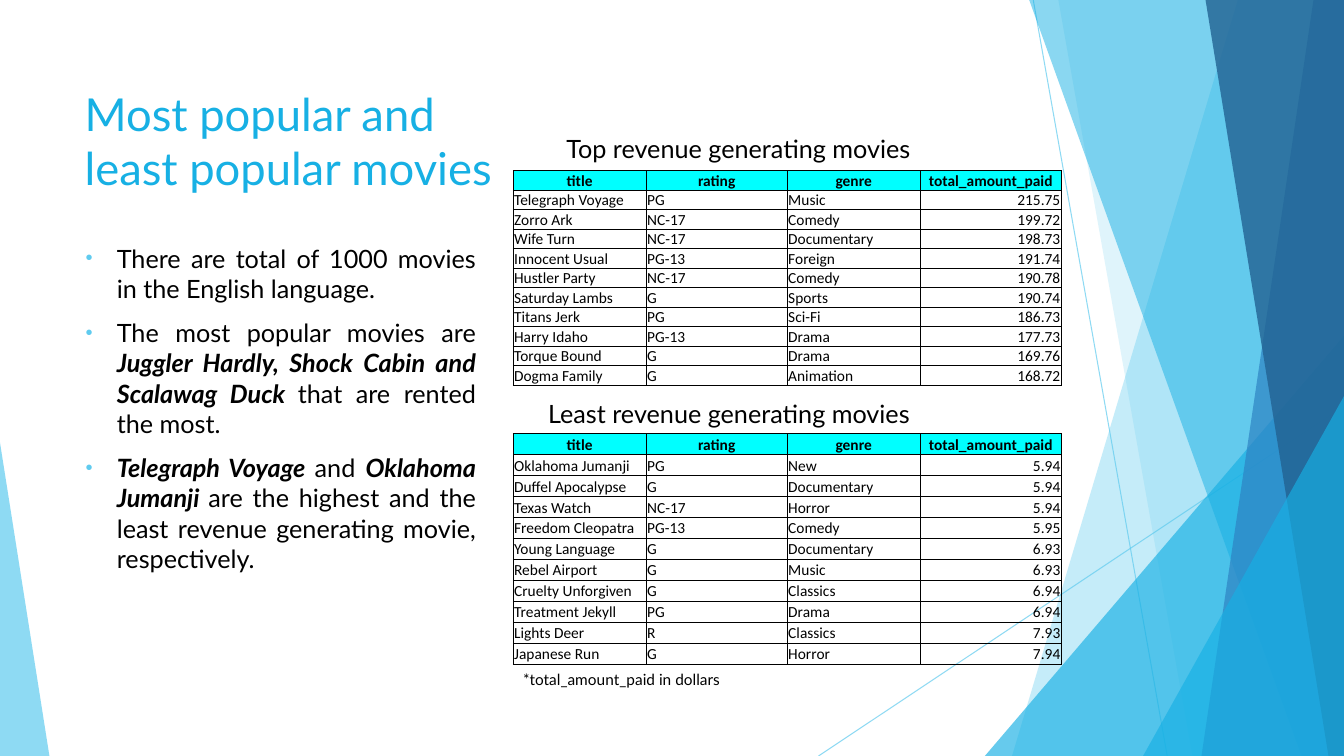
from lxml.etree import SubElement
from pptx import Presentation
from pptx.dml.color import RGBColor
from pptx.enum.shapes import MSO_CONNECTOR, MSO_SHAPE
from pptx.enum.text import MSO_ANCHOR, PP_ALIGN
from pptx.oxml import parse_xml
from pptx.oxml.ns import nsdecls, qn
from pptx.util import Emu, Inches, Pt

WIDTH, HEIGHT = Inches(13.333), Inches(7.5)
SKY = RGBColor(0x5F, 0xCB, 0xEF)
CYAN = RGBColor(0x17, 0xB0, 0xE4)
BLUE = RGBColor(0x2E, 0x83, 0xC3)
NAVY = RGBColor(0x22, 0x62, 0x92)
AQUA = RGBColor(0x00, 0xFF, 0xFF)
BLACK = RGBColor(0, 0, 0)

TABLE_LEFT = 38.18
COLUMN_SHARES = (9.9, 10.5, 9.9, 10.5)
HEADINGS = ("title", "rating", "genre", "total_amount_paid")
TOP_MOVIES = (
    ("Telegraph Voyage", "PG", "Music", "215.75"),
    ("Zorro Ark", "NC-17", "Comedy", "199.72"),
    ("Wife Turn", "NC-17", "Documentary", "198.73"),
    ("Innocent Usual", "PG-13", "Foreign", "191.74"),
    ("Hustler Party", "NC-17", "Comedy", "190.78"),
    ("Saturday Lambs", "G", "Sports", "190.74"),
    ("Titans Jerk", "PG", "Sci-Fi", "186.73"),
    ("Harry Idaho", "PG-13", "Drama", "177.73"),
    ("Torque Bound", "G", "Drama", "169.76"),
    ("Dogma Family", "G", "Animation", "168.72"),
)
LEAST_MOVIES = (
    ("Oklahoma Jumanji", "PG", "New", "5.94"),
    ("Duffel Apocalypse", "G", "Documentary", "5.94"),
    ("Texas Watch", "NC-17", "Horror", "5.94"),
    ("Freedom Cleopatra", "PG-13", "Comedy", "5.95"),
    ("Young Language", "G", "Documentary", "6.93"),
    ("Rebel Airport", "G", "Music", "6.93"),
    ("Cruelty Unforgiven", "G", "Classics", "6.94"),
    ("Treatment Jekyll", "PG", "Drama", "6.94"),
    ("Lights Deer", "R", "Classics", "7.93"),
    ("Japanese Run", "G", "Horror", "7.94"),
)
FINDINGS = (
    (("There are total of 1000 movies in the English language.", False),),
    (("The most popular movies are ", False),
     ("Juggler Hardly, Shock Cabin and Scalawag Duck ", True),
     ("that are rented the most.", False)),
    (("Telegraph Voyage ", True), ("and ", False), ("Oklahoma Jumanji ", True),
     ("are the highest and the least revenue generating movie, respectively.", False)),
)


def across(percent):
    return Emu(round(WIDTH * percent / 100))


def down(percent):
    return Emu(round(HEIGHT * percent / 100))


def area(left, top, width, height):
    return across(left), down(top), across(width), down(height)


def set_font(font, size, color, name="Lato", bold=None):
    font.size, font.name, font.bold = Pt(size), name, bold
    font.color.rgb = color


def set_opacity(fill_parent, percent):
    color = fill_parent.find(".//" + qn("a:srgbClr"))
    SubElement(color, qn("a:alpha"), val=str(percent * 1000))


def tint(shape, color, opacity):
    shape.shadow.inherit = False
    shape.fill.solid()
    shape.fill.fore_color.rgb = color
    set_opacity(shape.fill._xPr, opacity)
    shape.line.fill.background()


def add_ray(slide, x1, y1, x2, y2):
    ray = slide.shapes.add_connector(
        MSO_CONNECTOR.STRAIGHT, across(x1), down(y1), across(x2), down(y2))
    ray.line.width = Pt(0.75)
    ray.line.color.rgb = SKY
    properties = ray._element.spPr
    set_opacity(properties, 70)
    SubElement(properties, qn("a:effectLst"))


def add_shard(slide, top_x, bottom_x, color, opacity):
    outline = slide.shapes.build_freeform(across(top_x), 0)
    outline.add_line_segments(
        [(WIDTH, 0), (WIDTH, HEIGHT), (across(bottom_x), HEIGHT)], close=True)
    tint(outline.convert_to_shape(), color, opacity)


def add_corner(slide, left, top, width, peak, color, opacity):
    corner = slide.shapes.add_shape(
        MSO_SHAPE.ISOSCELES_TRIANGLE, *area(left, top, width, 100 - top))
    corner.adjustments[0] = peak
    tint(corner, color, opacity)


def add_backdrop(slide):
    add_ray(slide, 76.88, 0, 86.85, 100)
    add_ray(slide, 100, 53.73, 60.9, 100)
    add_shard(slide, 92.1, 75.3, SKY, 36)
    add_shard(slide, 78.75, 88.73, SKY, 20)
    add_corner(slide, 73.28, 44.4, 26.72, 1, CYAN, 66)
    add_shard(slide, 76.58, 96.83, CYAN, 50)
    add_shard(slide, 97.73, 89.4, BLUE, 70)
    add_shard(slide, 89.7, 98.85, NAVY, 80)
    add_corner(slide, 85.05, 52.4, 14.95, 1, CYAN, 66)
    add_corner(slide, 0, 58.53, 3.68, 0, SKY, 70)


def add_title(slide, text):
    title = slide.shapes.title
    title.left, title.top, title.width, title.height = area(5.55, 8.93, 34.5, 19.2)
    frame = title.text_frame
    frame.text = text
    frame.vertical_anchor = MSO_ANCHOR.MIDDLE
    frame.paragraphs[0].alignment = PP_ALIGN.LEFT
    set_font(frame.paragraphs[0].font, 32.4, CYAN)


def add_text(slide, place, text, size):
    frame = slide.shapes.add_textbox(*area(*place)).text_frame
    frame.word_wrap = True
    frame.text = text
    set_font(frame.paragraphs[0].font, size, BLACK)


def add_bullet(paragraph):
    properties = paragraph._p.get_or_add_pPr()
    properties.set("marL", str(Inches(0.31)))
    properties.set("indent", str(-Inches(0.31)))
    color = SubElement(properties, qn("a:buClr"))
    SubElement(color, qn("a:srgbClr"), val=str(SKY))
    SubElement(properties, qn("a:buSzPct"), val="80000")
    SubElement(properties, qn("a:buFont"), typeface="Arial")
    SubElement(properties, qn("a:buChar"), char="•")


def add_findings(slide):
    frame = slide.shapes.add_textbox(*area(5.63, 31.47, 30.53, 51.87)).text_frame
    frame.word_wrap = True
    for index, finding in enumerate(FINDINGS):
        paragraph = frame.add_paragraph() if index else frame.paragraphs[0]
        paragraph.alignment = PP_ALIGN.JUSTIFY
        paragraph.space_before = Pt(10)
        add_bullet(paragraph)
        set_font(paragraph.font, 18, BLACK)
        for text, emphasis in finding:
            run = paragraph.add_run()
            run.text = text
            run.font.bold = run.font.italic = emphasis


def add_borders(cell):
    properties = cell._tc.get_or_add_tcPr()
    for index, side in enumerate("LRTB"):
        properties.insert(index, parse_xml(
            f'<a:ln{side} {nsdecls("a")} w="{Pt(0.5)}"><a:solidFill>'
            f'<a:srgbClr val="{BLACK}"/></a:solidFill></a:ln{side}>'))


def fill_cell(cell, text, heading, alignment):
    cell.text = text
    cell.vertical_anchor = MSO_ANCHOR.BOTTOM
    cell.margin_left = cell.margin_right = cell.margin_top = Inches(0.01)
    cell.margin_bottom = 0
    paragraph = cell.text_frame.paragraphs[0]
    paragraph.alignment = alignment
    set_font(paragraph.font, 11, BLACK, "Calibri", heading)
    if heading:
        cell.fill.solid()
        cell.fill.fore_color.rgb = AQUA
    else:
        cell.fill.background()
    add_borders(cell)


def add_movies(slide, top, height, movies):
    rows = (HEADINGS, *movies)
    place = area(TABLE_LEFT, top, sum(COLUMN_SHARES), height)
    table = slide.shapes.add_table(len(rows), len(HEADINGS), *place).table
    table.first_row = table.horz_banding = False
    for column, share in zip(table.columns, COLUMN_SHARES):
        column.width = across(share)
    for r, row in enumerate(rows):
        table.rows[r].height = down(height / len(rows))
        for c, text in enumerate(row):
            body_alignment = PP_ALIGN.RIGHT if c == len(row) - 1 else PP_ALIGN.LEFT
            fill_cell(table.cell(r, c), text, r == 0,
                      PP_ALIGN.CENTER if r == 0 else body_alignment)


def main():
    deck = Presentation()
    deck.slide_width, deck.slide_height = WIDTH, HEIGHT
    slide = deck.slides.add_slide(deck.slide_layouts[5])
    add_backdrop(slide)
    add_title(slide, "Most popular and least popular movies")
    add_findings(slide)
    add_text(slide, (41.4, 16.93, 38.18, 5.33), "Top revenue generating movies", 18)
    add_movies(slide, 22.53, 28.4, TOP_MOVIES)
    add_text(slide, (40.05, 52, 38.18, 5.33), "Least revenue generating movies", 18)
    add_movies(slide, 57.33, 30.53, LEAST_MOVIES)
    add_text(slide, (TABLE_LEFT, 88, 38.93, 3.87), "*total_amount_paid in dollars", 11)
    deck.save("out.pptx")


if __name__ == "__main__":
    main()
